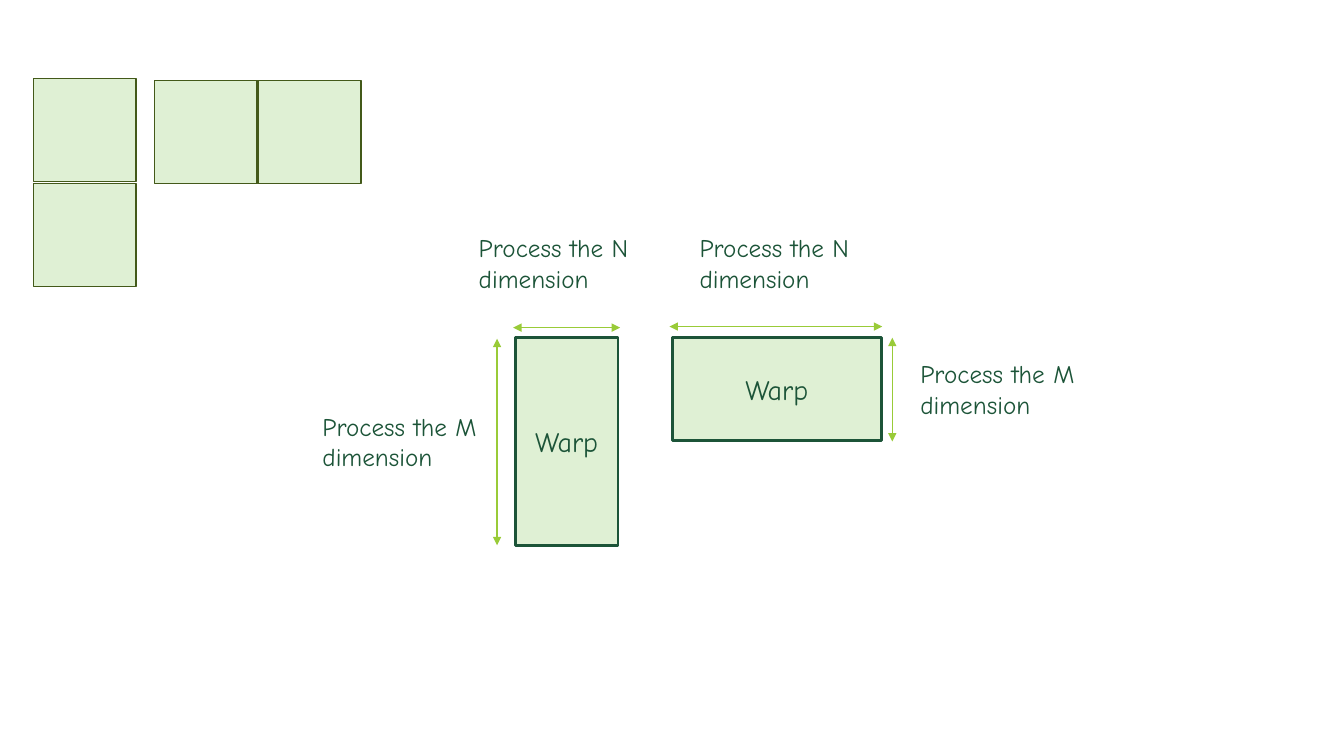
from dataclasses import dataclass
from pptx import Presentation
from pptx.dml.color import RGBColor
from pptx.enum.shapes import MSO_CONNECTOR, MSO_SHAPE
from pptx.enum.text import MSO_ANCHOR, MSO_AUTO_SIZE, PP_ALIGN
from pptx.oxml.ns import qn
from pptx.util import Pt
from lxml.etree import SubElement

PX = 9144
WIDE, HIGH = 1333, 750
SIDE = 102


@dataclass(frozen=True)
class Theme:
    font: str = "Comic Neue"
    fill: str = "DFF0D4"
    edge: str = "435919"
    ink: str = "1C5438"
    arrow: str = "99CB38"
    warp: int = 20
    label: int = 18


THEME = Theme()

STACKS = [
    {"left": 33, "top": 78, "across": 0, "down": 104},
    {"left": 153, "top": 80, "across": 103, "down": 0},
]
WARPS = [
    ("Warp", 667, 335, 207, SIDE),
    ("Warp", 511, 335, SIDE, 206),
]
ARROWS = [
    (493, 336, 493, 541),
    (615, 325, 509, 325),
    (875, 324, 664, 324),
    (885, 335, 885, 438),
]
LABELS = [
    ("Process the M dimension", 310, 403),
    ("Process the N dimension", 465, 226),
    ("Process the N dimension", 684, 226),
    ("Process the M dimension", 903, 351),
]
LABEL_W, LABEL_H = 190, 71


def scale(*nums):
    return [n * PX for n in nums]


def tint(code):
    return RGBColor.from_string(code)


def write(frame, text, size, align):
    frame.word_wrap = True
    line = frame.paragraphs[0]
    line.alignment = align
    run = line.add_run()
    run.text = text
    run.font.name = THEME.font
    run.font.size = Pt(size)
    run.font.color.rgb = tint(THEME.ink)


def box(slide, place, color, width):
    shape = slide.shapes.add_shape(MSO_SHAPE.RECTANGLE, *scale(*place))
    shape.shadow.inherit = False
    shape.fill.solid()
    shape.fill.fore_color.rgb = tint(THEME.fill)
    shape.line.color.rgb = tint(color)
    shape.line.width = Pt(width)
    return shape


def arrow(slide, ends):
    link = slide.shapes.add_connector(MSO_CONNECTOR.STRAIGHT, *scale(*ends))
    link.line.color.rgb = tint(THEME.arrow)
    link.line.width = Pt(1)
    stroke = link.line._get_or_add_ln()
    for end in ("a:headEnd", "a:tailEnd"):
        SubElement(stroke, qn(end), type="triangle")
    SubElement(link._element.spPr, qn("a:effectLst"))


def main():
    deck = Presentation()
    deck.slide_width, deck.slide_height = scale(WIDE, HIGH)
    slide = deck.slides.add_slide(deck.slide_layouts[6])

    for stack in STACKS:
        for step in range(2):
            left = stack["left"] + step * stack["across"]
            top = stack["top"] + step * stack["down"]
            box(slide, (left, top, SIDE, SIDE), THEME.edge, 1)

    for text, *place in WARPS:
        frame = box(slide, place, THEME.ink, 2).text_frame
        frame.vertical_anchor = MSO_ANCHOR.MIDDLE
        write(frame, text, THEME.warp, PP_ALIGN.CENTER)

    for ends in ARROWS:
        arrow(slide, ends)

    for text, left, top in LABELS:
        place = scale(left, top, LABEL_W, LABEL_H)
        frame = slide.shapes.add_textbox(*place).text_frame
        frame.auto_size = MSO_AUTO_SIZE.SHAPE_TO_FIT_TEXT
        write(frame, text, THEME.label, PP_ALIGN.LEFT)

    deck.save("out.pptx")


if __name__ == "__main__":
    main()
